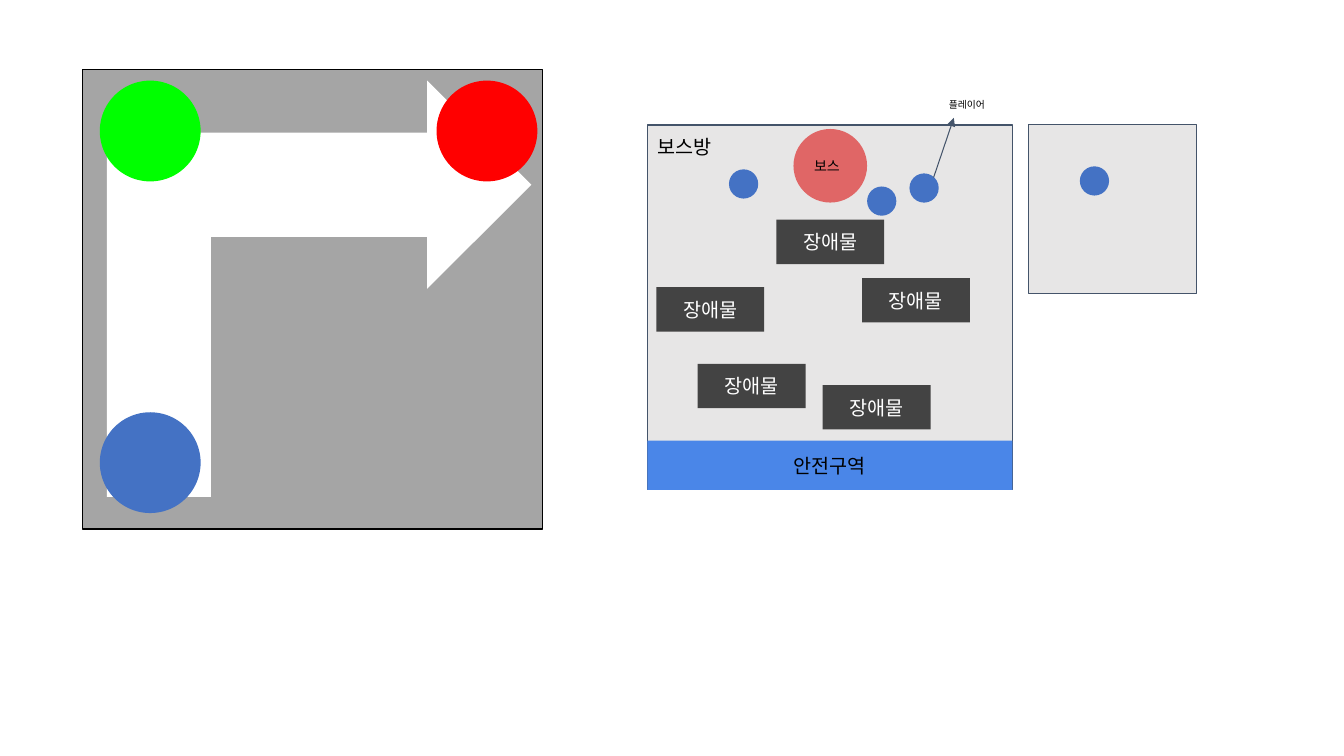
from lxml import etree
from pptx import Presentation
from pptx import util as u
from pptx.dml.color import RGBColor
from pptx.enum import shapes, text
from pptx.oxml.ns import qn

COLORS = {
    "black": "000000",
    "white": "FFFFFF",
    "floor": "A5A5A5",
    "room": "E7E6E6",
    "outline": "44546A",
    "player": "4472C4",
    "goal": "FF0000",
    "corner": "00FF00",
    "boss": "E06666",
    "safe": "4A86E8",
    "obstacle": "434343",
}
RECT = shapes.MSO_SHAPE.RECTANGLE
OVAL = shapes.MSO_SHAPE.OVAL
BENT_ARROW = shapes.MSO_SHAPE.BENT_UP_ARROW
LEFT = text.PP_ALIGN.LEFT
CENTER = text.PP_ALIGN.CENTER
TOP = text.MSO_ANCHOR.TOP
MIDDLE = text.MSO_ANCHOR.MIDDLE


class Sketch:
    font = "Arial"
    inset = u.Inches(0.1)

    def __init__(self, page):
        self.page = page
        self.target = page.shapes

    def group(self):
        self.target = self.page.shapes.add_group_shape().shapes

    def color(self, name):
        return RGBColor.from_string(COLORS[name])

    def shape(self, kind, left, top, width, height, fill, line=None, weight=0.75):
        shape = self.target.add_shape(kind, *map(u.Inches, (left, top, width, height)))
        shape.shadow.inherit = False
        shape.fill.solid()
        shape.fill.fore_color.rgb = self.color(fill)
        if line:
            shape.line.color.rgb = self.color(line)
            shape.line.width = u.Pt(weight)
        else:
            shape.line.fill.background()
        return shape

    def circle(self, left, top, size, fill):
        return self.shape(OVAL, left, top, size, size, fill)

    def caption(self, shape, words, size=14, color="black", align=CENTER, anchor=MIDDLE):
        frame = shape.text_frame
        frame.word_wrap = True
        frame.vertical_anchor = anchor
        frame.margin_left = frame.margin_right = self.inset
        frame.margin_top = frame.margin_bottom = self.inset
        para = frame.paragraphs[0]
        para.text = words
        para.alignment = align
        para.font.name = self.font
        para.font.size = u.Pt(size)
        para.font.color.rgb = self.color(color)

    def label(self, left, top, width, height, words, size, align):
        box = self.target.add_textbox(*map(u.Inches, (left, top, width, height)))
        self.caption(box, words, size, align=align, anchor=TOP)
        box.text_frame.auto_size = text.MSO_AUTO_SIZE.SHAPE_TO_FIT_TEXT

    def arrow(self, start, end):
        arrow = self.target.add_connector(
            shapes.MSO_CONNECTOR.STRAIGHT, *map(u.Inches, (*start, *end)))
        arrow.line.color.rgb = self.color("outline")
        arrow.line.width = u.Pt(0.75)
        properties = arrow._element.spPr
        etree.SubElement(properties.find(qn("a:ln")), qn("a:tailEnd"), type="triangle")
        etree.SubElement(properties, qn("a:effectLst"))


def draw_route(sketch):
    sketch.shape(RECT, 0.82, 0.69, 4.56, 4.56, "floor", "black", 1)
    route = sketch.shape(BENT_ARROW, 1.1, 0.76, 4.13, 4.21, "white")
    route.rotation = 90
    route._element.spPr.find(qn("a:xfrm")).set("flipH", "1")
    for left, top, fill in ((0.99, 4.09, "player"), (4.33, 0.8, "goal"), (0.99, 0.8, "corner")):
        sketch.circle(left, top, 1, fill)


def draw_side_room(sketch):
    sketch.group()
    sketch.shape(RECT, 10.2, 1.24, 1.67, 1.67, "room", "outline")
    sketch.circle(10.71, 1.65, 0.29, "player")


def draw_boss_room(sketch):
    sketch.group()
    sketch.shape(RECT, 6.42, 1.24, 3.62, 3.62, "room", "outline")
    boss = sketch.circle(7.87, 1.28, 0.73, "boss")
    sketch.caption(boss, "보스", 10, align=LEFT)
    sketch.label(6.42, 1.24, 0.9, 0.44, "보스방", 14, LEFT)
    safe_zone = sketch.shape(RECT, 6.42, 4.37, 3.62, 0.49, "safe")
    sketch.caption(safe_zone, "안전구역")
    for left, top in ((7.7, 2.18), (6.51, 2.85), (6.92, 3.61), (8.16, 3.82), (8.55, 2.76)):
        obstacle = sketch.shape(RECT, left, top, 1.07, 0.44, "obstacle")
        sketch.caption(obstacle, "장애물", color="white")
    for left, top in ((7.23, 1.68), (8.6, 1.85), (9.02, 1.72)):
        sketch.circle(left, top, 0.29, "player")
    sketch.arrow((9.26, 1.76), (9.46, 1.17))
    sketch.label(9.28, 0.92, 0.62, 0.32, "플레이어", 7, CENTER)


def main():
    deck = Presentation()
    deck.slide_width = u.Inches(13.33)
    deck.slide_height = u.Inches(7.5)
    sketch = Sketch(deck.slides.add_slide(deck.slide_layouts[6]))
    draw_route(sketch)
    draw_side_room(sketch)
    draw_boss_room(sketch)
    deck.save("out.pptx")


if __name__ == "__main__":
    main()
